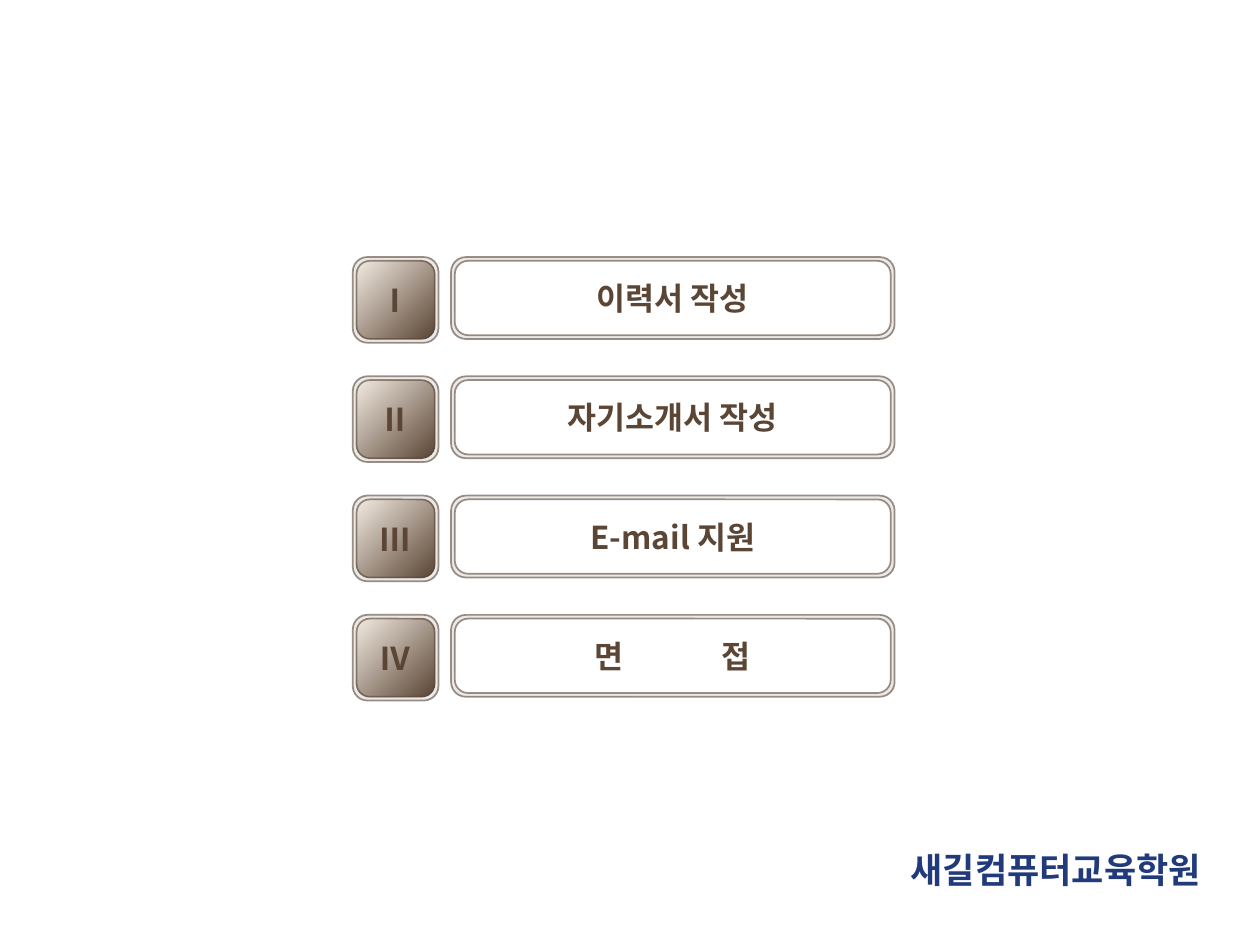
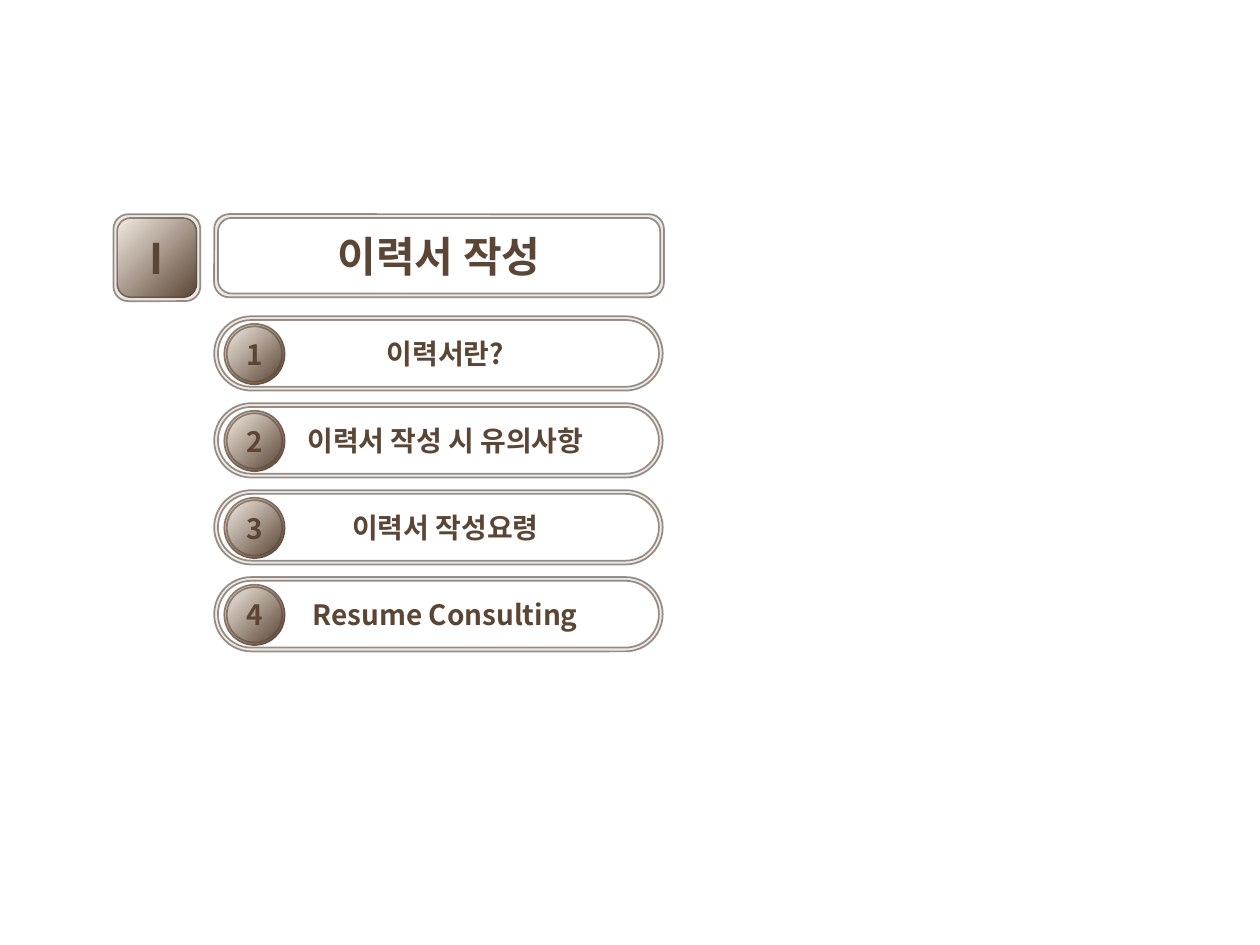
from lxml.etree import SubElement as Sub
from pptx import Presentation
from pptx.dml.color import RGBColor
from pptx.enum.shapes import MSO_SHAPE as Kind
from pptx.enum.text import MSO_ANCHOR as Anchor, MSO_AUTO_SIZE as Fit, PP_ALIGN as Align
from pptx.oxml.ns import qn
from pptx.util import Inches, Pt

FONT = "Noto Sans CJK KR"
BROWN, CREAM, GREY, WHITE, NAVY = "5B4636", "F3EBE1", "EAEAEA", "FFFFFF", "203A7B"
SHADE = (CREAM, BROWN)
FRAME = {"word_wrap": False, "auto_size": Fit.NONE, "vertical_anchor": Anchor.MIDDLE,
         "margin_left": Inches(0.1), "margin_right": Inches(0.1),
         "margin_top": Inches(0.05), "margin_bottom": Inches(0.05)}
# Each topic: numeral, runs of text with their letter spacing in points
TOPICS = [("Ⅰ", [("이력서 작성", 0)]), ("Ⅱ", [("자기소개서 작성", 0)]),
          ("Ⅲ", [("E-mail 지원", 0)]), ("Ⅳ", [("면 ", 26), ("접", 0)])]
STEPS = ["이력서란?", "이력서 작성 시 유의사항", "이력서 작성요령", "Resume Consulting"]


def color(code):
    return RGBColor.from_string(code)


def apply(target, values):
    for name, value in values.items():
        setattr(target, name, value)


class Deck:
    """Holds the shared style and the current slide."""

    def __init__(self):
        self.prs = Presentation()
        apply(self.prs, {"slide_width": Inches(10), "slide_height": Inches(7.5)})

    def start(self, layout):
        self.slide = self.prs.slides.add_slide(self.prs.slide_layouts[layout])

    def put(self, shape, parts, size, tint=BROWN, align=Align.CENTER, **frame):
        """Set one line of text, given as a string or as (text, spacing) pairs."""
        apply(shape.text_frame, FRAME | frame)
        para = shape.text_frame.paragraphs[0]
        apply(para, {"alignment": align, "space_before": Pt(0)})
        for text, gap in [(parts, 0)] if isinstance(parts, str) else parts:
            run = para.add_run()
            run.text = text
            apply(run.font, {"size": Pt(size), "bold": True, "name": FONT})
            run.font.color.rgb = color(tint)
            props = run._r.get_or_add_rPr()
            Sub(props, qn("a:ea")).set("typeface", FONT)
            if gap:
                props.set("spc", str(gap * 100))

    def panel(self, kind, box, fill, bend=None):
        """Draw an outlined shape; a pair of colours makes a gradient."""
        shape = self.slide.shapes.add_shape(kind, *map(Inches, box))
        shape.shadow.inherit = False
        if bend is not None:
            shape.adjustments[0] = bend
        if isinstance(fill, tuple):
            shape.fill.gradient()
            shape.fill.gradient_angle = 315
            for stop, code in zip(shape.fill.gradient_stops, fill):
                stop.color.rgb = color(code)
        else:
            shape.fill.solid()
            shape.fill.fore_color.rgb = color(fill)
        shape.line.width = Pt(1)
        shape.line.color.rgb = color(BROWN)
        line = shape._element.spPr.find(qn("a:ln"))
        Sub(line.find(".//" + qn("a:srgbClr")), qn("a:alpha")).set("val", "60000")
        return shape

    def double(self, kind, box, fills, bend=None, rim=0.03):
        """Draw a shape inside a rim and return the inner one."""
        x, y, w, h = box
        self.panel(kind, box, fills[0], bend)
        inner = (x + rim, y + rim, w - 2 * rim, h - 2 * rim)
        return self.panel(kind, inner, fills[1], bend)

    def plate(self, x, y, w, h):
        return self.double(Kind.ROUNDED_RECTANGLE, (x, y, w, h), (GREY, WHITE), 0.18)

    def badge(self, x, y, side, text, size):
        tile = self.double(Kind.ROUNDED_RECTANGLE, (x, y, side, side), (GREY, SHADE), 0.17)
        self.put(tile, text, size)

    def pill(self, x, y, mark, text):
        bar = self.double(Kind.ROUNDED_RECTANGLE, (x, y, 3.56, 0.59), (GREY, WHITE), 0.5)
        self.put(bar, text, 16, margin_left=Inches(0.21))
        disc = self.double(Kind.OVAL, (x + 0.08, y + 0.06, 0.48, 0.48), (SHADE, SHADE), rim=0.02)
        self.put(disc, mark, 16)

    def title(self, plate, parts):
        """Lay the title placeholder over a plate."""
        head = self.slide.shapes.title
        apply(head, {key: getattr(plate, key) for key in ("left", "top", "width", "height")})
        self.put(head, parts, 24)
        self.slide.shapes._spTree.append(head._element)

    def label(self, box, text, size, tint):
        note = self.slide.shapes.add_textbox(*map(Inches, box))
        self.put(note, text, size, tint, Align.LEFT)


def agenda(deck):
    deck.start(6)
    deck.label((7.13, 6.65, 2.5, 0.5), "새길컴퓨터교육학원", 20, NAVY)
    for row, (mark, parts) in enumerate(TOPICS):
        top = 2.04 + row * 2.84 / 3
        deck.put(deck.plate(3.58, top, 3.52, 0.65), parts, 18)
        deck.badge(2.8, top, 0.68, mark, 18)


def chapter(deck):
    deck.start(5)
    mark, parts = TOPICS[0]
    deck.title(deck.plate(1.7, 1.7, 3.57, 0.66), parts)
    deck.badge(0.9, 1.7, 0.69, mark, 24)
    for row, step in enumerate(STEPS):
        deck.pill(1.7, 2.51 + row * 0.69, str(row + 1), step)


def main():
    deck = Deck()
    agenda(deck)
    chapter(deck)
    deck.prs.save("out.pptx")


if __name__ == "__main__":
    main()
